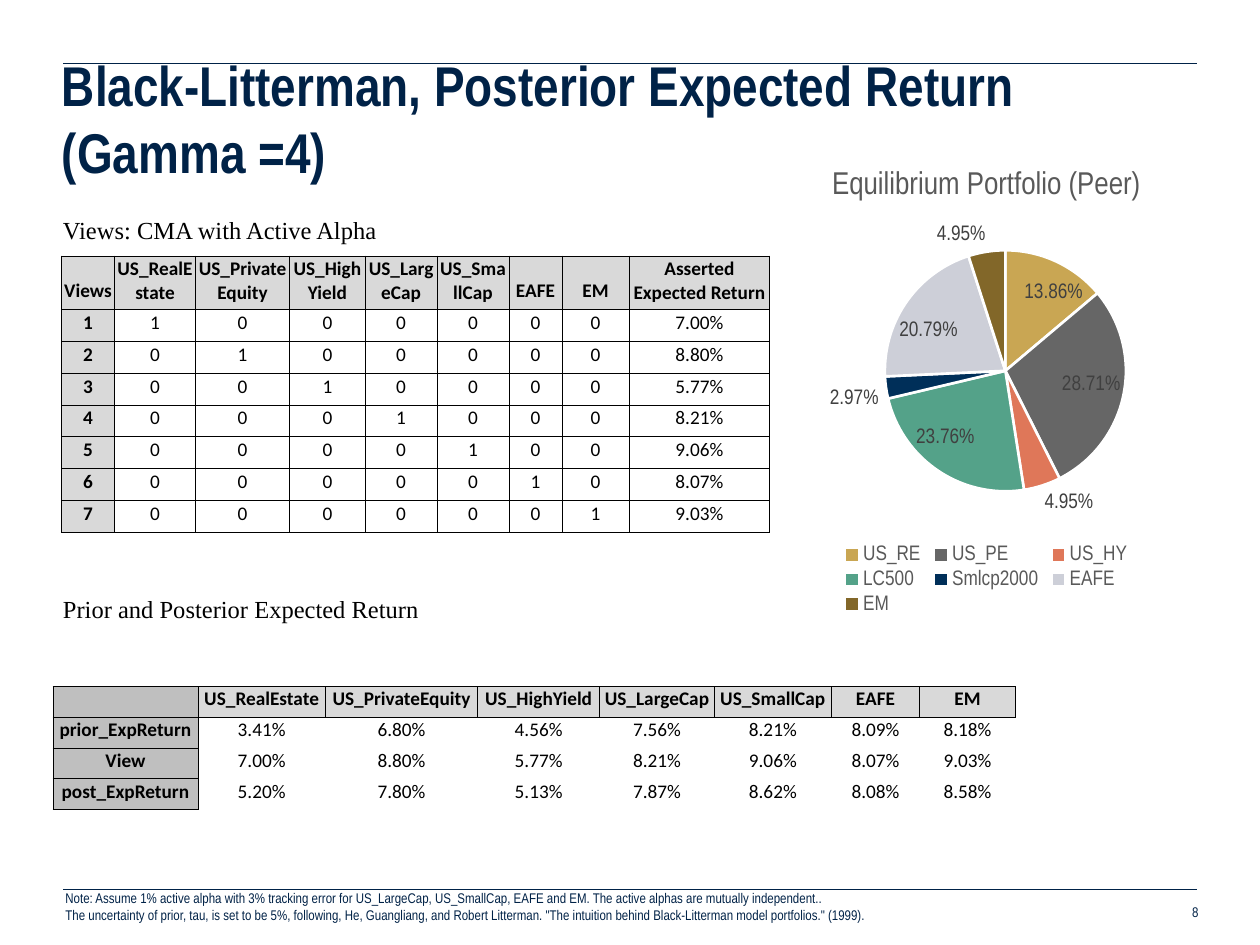
from lxml.etree import SubElement
from pptx import Presentation
from pptx.chart.data import CategoryChartData
from pptx.dml.color import RGBColor
from pptx.enum.chart import XL_CHART_TYPE, XL_LABEL_POSITION, XL_LEGEND_POSITION
from pptx.enum.text import MSO_ANCHOR, PP_ALIGN
from pptx.oxml import parse_xml
from pptx.oxml.ns import nsdecls, qn
from pptx.util import Cm, Pt

NAVY, BLACK, LIGHT, MID = "002247", "000000", "D9D9D9", "BFBFBF"
PLAIN = "{2D5ABB26-0587-4C30-8999-92F81FD0307C}"
ASSETS = ["US_RealEstate", "US_PrivateEquity", "US_HighYield",
          "US_LargeCap", "US_SmallCap", "EAFE", "EM"]
PRIOR = ["3.41%", "6.80%", "4.56%", "7.56%", "8.21%", "8.09%", "8.18%"]
VIEWS = ["7.00%", "8.80%", "5.77%", "8.21%", "9.06%", "8.07%", "9.03%"]
POST = ["5.20%", "7.80%", "5.13%", "7.87%", "8.62%", "8.08%", "8.58%"]
SLICES = [("US_RE", 0.1386, "C9A653"), ("US_PE", 0.2871, "666666"),
          ("US_HY", 0.0495, "DF7759"), ("LC500", 0.2376, "54A289"),
          ("Smlcp2000", 0.0297, "002F59"), ("EAFE", 0.2079, "CDCFD8"),
          ("EM", 0.0495, "826729")]


def paint(hue):
    return RGBColor.from_string(hue)


def style(font, size, hue, name="Arial Narrow", bold=False):
    looks = {"size": Pt(size), "name": name, "bold": bold}
    for key, value in looks.items():
        setattr(font, key, value)
    font.color.rgb = paint(hue)


def add_text(slide, box, lines, look, align=PP_ALIGN.LEFT,
             anchor=MSO_ANCHOR.TOP, left=0.25, right=0.25, gap=0):
    """Place lines in a box; gap is the space between them in points."""
    frame = slide.shapes.add_textbox(*map(Cm, box)).text_frame
    traits = {"word_wrap": True, "vertical_anchor": anchor,
              "margin_left": Cm(left), "margin_right": Cm(right),
              "margin_top": Cm(0.13), "margin_bottom": Cm(0.13)}
    for key, value in traits.items():
        setattr(frame, key, value)
    for i, line in enumerate(lines):
        para = frame.add_paragraph() if i else frame.paragraphs[0]
        para.alignment = align
        para.space_before = Pt(gap if i else 0)
        run = para.add_run()
        run.text = line
        style(run.font, **look)


def add_rule(slide, left, top, width):
    line = slide.shapes.add_connector(1, Cm(left), Cm(top), Cm(left + width), Cm(top))
    line.line.color.rgb = paint(NAVY)
    line.line.width = Pt(0.5)
    SubElement(line._element.spPr, qn("a:effectLst"))


def add_frame(slide, left, top, width, height):
    # Rules at the head and foot, title, footnote and page number
    for y in (top, top + height):
        add_rule(slide, left, y, width)
    add_text(slide, (left - 0.02, top + 0.05, width, 2.11),
             ["Black-Litterman, Posterior Expected Return (Gamma =4)"],
             {"size": 32, "hue": NAVY, "bold": True},
             anchor=MSO_ANCHOR.MIDDLE, left=0)
    small = {"size": 8, "hue": NAVY}
    foot = top + height
    add_text(slide, (left + width - 5.97, foot + 0.1, 6, 0.69), ["8"], small,
             PP_ALIGN.RIGHT, MSO_ANCHOR.MIDDLE, right=0)
    add_text(slide, (left - 0.2, foot - 0.12, width + 0.2, 1.17), [
        "Note: Assume 1% active alpha with 3% tracking error for US_LargeCap, "
        "US_SmallCap, EAFE and EM. The active alphas are mutually independent..",
        "The uncertainty of prior, tau, is set to be 5%, following, He, Guangliang, and "
        'Robert Litterman. "The intuition behind Black-Litterman model portfolios." (1999).',
    ], small, PP_ALIGN.JUSTIFY)


def add_edges(cell):
    props = cell._tc.get_or_add_tcPr()
    for side in "LRTB":
        props.append(parse_xml(
            f'<a:ln{side} {nsdecls("a")} w="6350"><a:solidFill>'
            f'<a:srgbClr val="{BLACK}"/></a:solidFill></a:ln{side}>'))


def fill_cell(cell, text, hue, edge):
    traits = {"vertical_anchor": MSO_ANCHOR.BOTTOM, "margin_left": Cm(0.02),
              "margin_right": Cm(0.02), "margin_top": Cm(0.02),
              "margin_bottom": Cm(0.13)}
    for key, value in traits.items():
        setattr(cell, key, value)
    if edge:
        add_edges(cell)
    if hue:
        cell.fill.solid()
        cell.fill.fore_color.rgb = paint(hue)
    else:
        cell.fill.background()
    para = cell.text_frame.paragraphs[0]
    para.alignment = PP_ALIGN.CENTER
    if text:
        run = para.add_run()
        run.text = text
        style(run.font, 11, BLACK, "Calibri", bool(hue))
    else:
        SubElement(para._p, qn("a:endParaRPr"), sz="1100")


def add_grid(slide, left, top, widths, heights, rows, side, edged):
    """Draw a table; side fills the first column, edged rules its body too."""
    shape = slide.shapes.add_table(len(rows), len(widths), Cm(left), Cm(top),
                                   Cm(sum(widths)), Cm(sum(heights)))
    grid = shape.table
    grid.first_row = grid.horz_banding = False
    grid._tbl.tblPr.find(qn("a:tableStyleId")).text = PLAIN
    for col, width in zip(grid.columns, widths):
        col.width = Cm(width)
    for r, (row, height) in enumerate(zip(rows, heights)):
        grid.rows[r].height = Cm(height)
        for c, text in enumerate(row):
            hue = side if c == 0 else LIGHT if r == 0 else None
            fill_cell(grid.cell(r, c), text, hue, edged or hue)


def add_views(slide, left, top):
    # Each view concerns one asset, so the body is an identity matrix
    rows = [["Views", *ASSETS, "Asserted Expected Return"]]
    for i, view in enumerate(VIEWS):
        picks = [str(int(i == j)) for j in range(len(ASSETS))]
        rows.append([str(i + 1), *picks, view])
    widths = [1.07, 1.63, 1.9, 1.52, 1.45, 1.45, 1.07, 1.35, 2.84]
    add_grid(slide, left, top, widths, [1.08] + [0.64] * 7, rows, LIGHT, True)


def add_returns(slide, left, top):
    rows = [["", *ASSETS], ["prior_ExpReturn", *PRIOR],
            ["View", *VIEWS], ["post_ExpReturn", *POST]]
    widths = [2.92, 2.57, 3.07, 2.46, 2.31, 2.36, 1.78, 1.93]
    add_grid(slide, left, top, widths, [0.62] * 4, rows, MID, False)


def add_pie(slide, box):
    data = CategoryChartData(number_format="0.00%")
    names, values, hues = zip(*SLICES)
    data.categories = names
    data.add_series("Series 1", values)
    chart = slide.shapes.add_chart(XL_CHART_TYPE.PIE, *map(Cm, box), data).chart
    style(chart.font, 10, BLACK)
    # Title and legend
    chart.has_title = chart.has_legend = True
    run = chart.chart_title.text_frame.paragraphs[0].add_run()
    run.text = "Equilibrium Portfolio (Peer)"
    style(run.font, 18, "595959")
    chart.legend.position = XL_LEGEND_POSITION.BOTTOM
    chart.legend.include_in_layout = False
    style(chart.legend.font, 12, "595959")
    # Slices and labels
    plot = chart.plots[0]
    plot.vary_by_categories = True
    for i, hue in enumerate(hues):
        form = plot.series[0].points[i].format
        form.fill.solid()
        form.fill.fore_color.rgb = paint(hue)
        form.line.color.rgb = paint("FFFFFF")
        form.line.width = Pt(1.5)
    plot.has_data_labels = True
    labels = plot.data_labels
    traits = {"show_value": True, "show_percentage": False,
              "number_format": "0.00%", "number_format_is_linked": False,
              "position": XL_LABEL_POSITION.BEST_FIT}
    for key, value in traits.items():
        setattr(labels, key, value)
    style(labels.font, 12, "404040")
    # Fixed place of the pie, as shares of the chart
    area = chart._chartSpace.chart.plotArea
    for old in area.findall(qn("c:layout")):
        area.remove(old)
    parts = {"layoutTarget": "inner", "xMode": "edge", "yMode": "edge",
             "x": 0.26, "y": 0.22, "w": 0.57, "h": 0.51}
    marks = "".join(f'<c:{key} val="{value}"/>' for key, value in parts.items())
    area.insert(0, parse_xml(f'<c:layout {nsdecls("c")}><c:manualLayout>{marks}'
                             '</c:manualLayout></c:layout>'))


def main():
    deck = Presentation()
    deck.slide_width, deck.slide_height = Cm(25.4), Cm(19.05)
    slide = deck.slides.add_slide(deck.slide_layouts[6])
    add_frame(slide, 1.27, 1.27, 22.86, 16.66)
    # Headings of the two tables
    add_text(slide, (1.27, 4.2, 14.2, 8.6),
             ["Views: CMA with Active Alpha", "Prior and Posterior Expected Return"],
             {"size": 14, "hue": BLACK, "name": "Times New Roman"}, left=0, gap=200)
    add_pie(slide, (15.62, 2.95, 8.53, 9.53))
    add_views(slide, 1.24, 5.16)
    add_returns(slide, 1.07, 13.84)
    deck.save("out.pptx")


if __name__ == "__main__":
    main()
